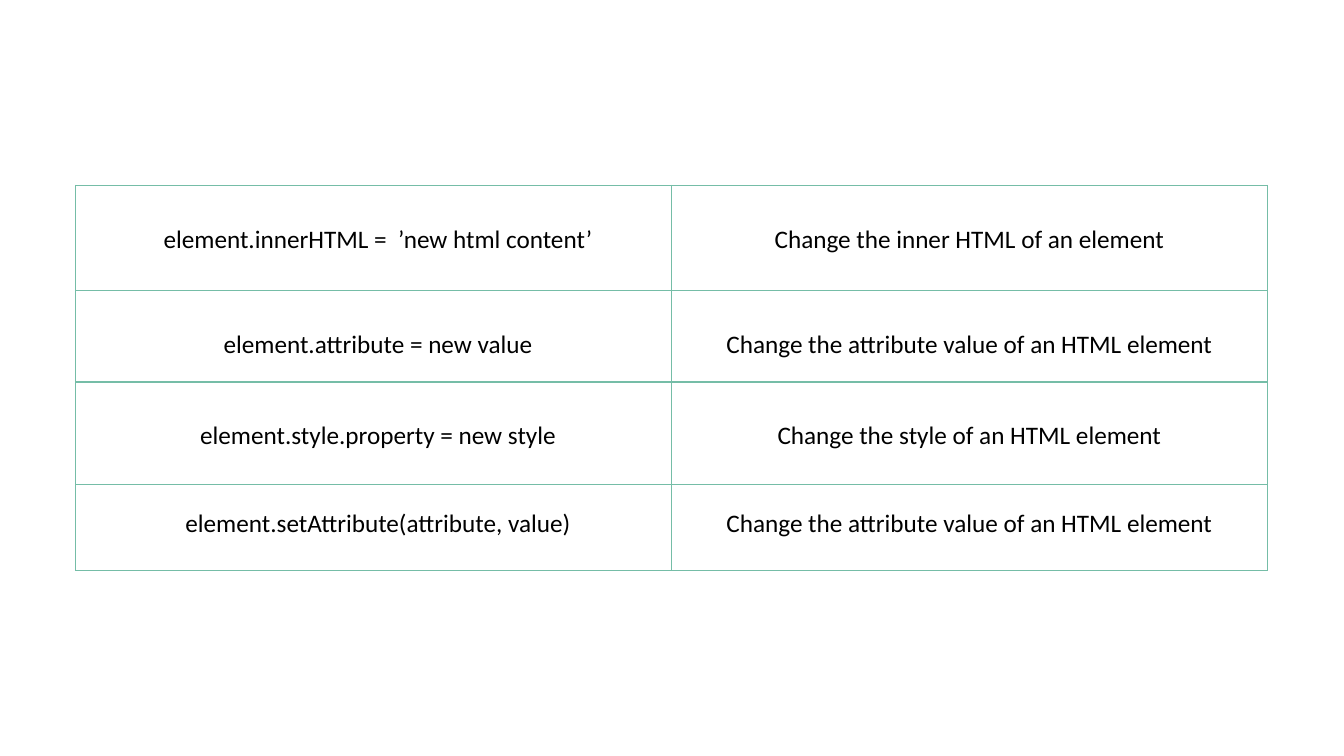
from dataclasses import dataclass

from lxml.etree import SubElement
from pptx import Presentation
from pptx.dml.color import RGBColor
from pptx.enum.text import MSO_ANCHOR, PP_ALIGN
from pptx.oxml.ns import qn
from pptx.slide import Slide
from pptx.table import Table, _Cell
from pptx.util import Inches, Length, Pt

GRID_COLUMNS = 1333
GRID_ROWS = 750
SLIDE_WIDTH = Inches(13.33)
SLIDE_HEIGHT = Inches(7.5)

TABLE_LEFT = 75
TABLE_TOP = 184
TABLE_COLUMN = 591
CELL_MARGIN = 8
CODE_MARGIN = 17

FONT = "Calibri"
FONT_SIZE = Pt(18)
TEXT_COLOR = "000000"
BORDER_COLOR = "75BDA7"
BORDER_WIDTH = Pt(1)


@dataclass(frozen=True)
class MethodRow:
    code: str
    description: str
    height: int
    line_spacing: float = 2.0


METHOD_ROWS = [
    MethodRow("element.innerHTML =  ’new html content’", "Change the inner HTML of an element", 104),
    MethodRow("element.attribute = new value", "Change the attribute value of an HTML element", 91),
    MethodRow("element.style.property = new style", "Change the style of an HTML element", 102),
    MethodRow("element.setAttribute(attribute, value)", "Change the attribute value of an HTML element", 85, 1.5),
]


def across(columns: int) -> Length:
    return Length(round(SLIDE_WIDTH * columns / GRID_COLUMNS))


def down(rows: int) -> Length:
    return Length(round(SLIDE_HEIGHT * rows / GRID_ROWS))


def color(value: str) -> RGBColor:
    return RGBColor.from_string(value)


def draw_borders(cell: _Cell) -> None:
    properties = cell._tc.get_or_add_tcPr()
    for side in ("a:lnL", "a:lnR", "a:lnT", "a:lnB"):
        line = SubElement(properties, qn(side), w=str(BORDER_WIDTH))
        fill = SubElement(line, qn("a:solidFill"))
        SubElement(fill, qn("a:srgbClr"), val=str(color(BORDER_COLOR)))


def fill_cell(cell: _Cell, text: str, line_spacing: float, left_margin: int) -> None:
    draw_borders(cell)
    cell.fill.background()
    cell.vertical_anchor = MSO_ANCHOR.TOP
    cell.margin_left = across(left_margin)
    cell.margin_right = across(CELL_MARGIN)
    cell.margin_top = cell.margin_bottom = down(CELL_MARGIN)
    paragraph = cell.text_frame.paragraphs[0]
    paragraph.alignment = PP_ALIGN.CENTER
    paragraph.line_spacing = line_spacing
    run = paragraph.add_run()
    run.text = text
    run.font.name = FONT
    run.font.size = FONT_SIZE
    run.font.color.rgb = color(TEXT_COLOR)


def draw_row(table: Table, index: int, method: MethodRow) -> None:
    table.rows[index].height = down(method.height)
    fill_cell(table.cell(index, 0), method.code, method.line_spacing, CODE_MARGIN)
    fill_cell(table.cell(index, 1), method.description, method.line_spacing, CELL_MARGIN)


def draw_table(slide: Slide, methods: list[MethodRow]) -> None:
    height = sum(method.height for method in methods)
    shape = slide.shapes.add_table(
        len(methods), 2, across(TABLE_LEFT), down(TABLE_TOP), across(2 * TABLE_COLUMN), down(height)
    )
    table = shape.table
    table.first_row = False
    table.horz_banding = False
    for column in table.columns:
        column.width = across(TABLE_COLUMN)
    for index, method in enumerate(methods):
        draw_row(table, index, method)


def main() -> None:
    presentation = Presentation()
    presentation.slide_width = SLIDE_WIDTH
    presentation.slide_height = SLIDE_HEIGHT
    slide = presentation.slides.add_slide(presentation.slide_layouts.get_by_name("Blank"))
    slide.background.fill.solid()
    slide.background.fill.fore_color.rgb = color("FFFFFF")
    draw_table(slide, METHOD_ROWS)
    presentation.save("out.pptx")


if __name__ == "__main__":
    main()
